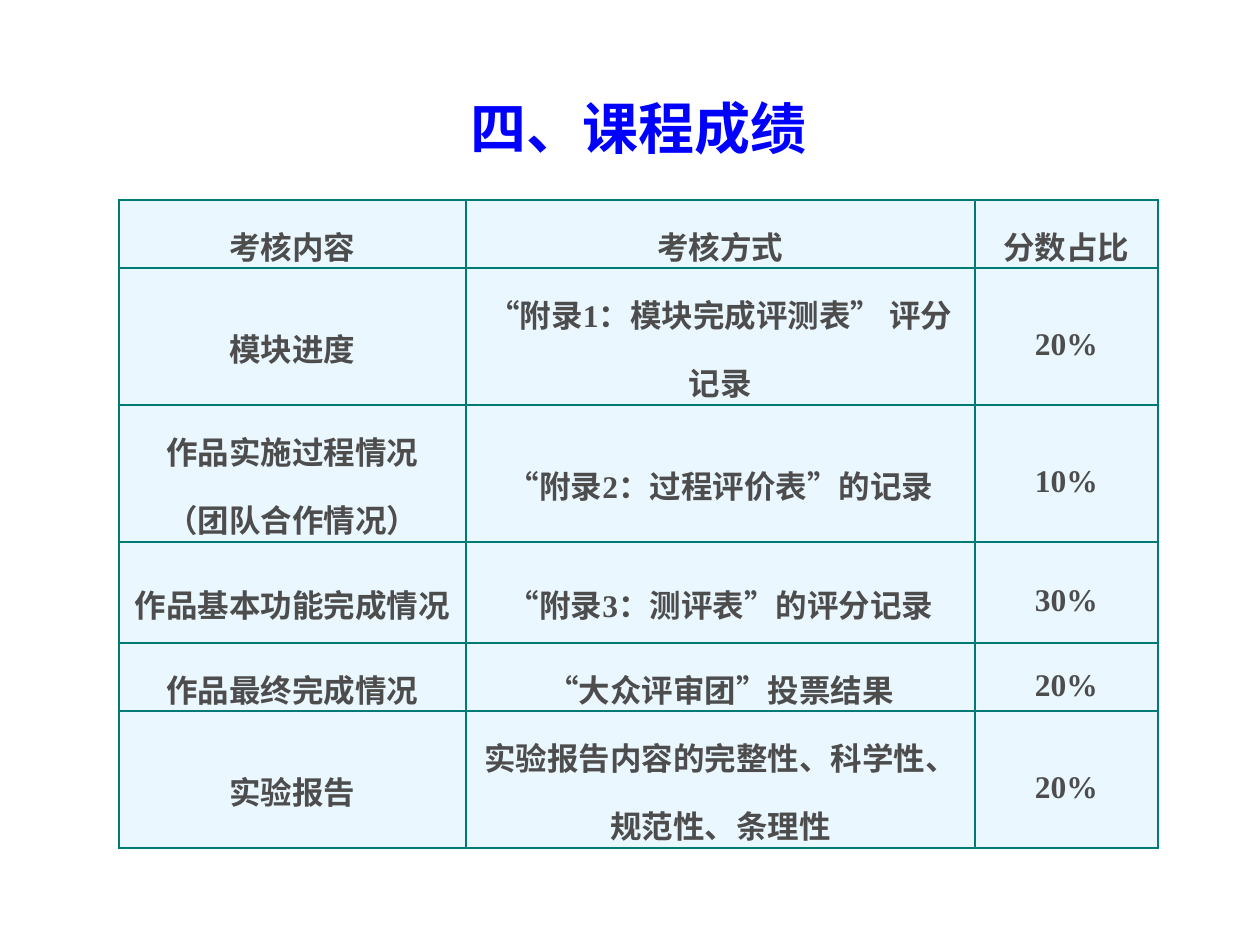
"""Build the course grading slide."""
from lxml.etree import SubElement
from pptx import Presentation
from pptx.dml.color import RGBColor
from pptx.enum.text import MSO_ANCHOR, PP_ALIGN
from pptx.oxml.ns import qn
from pptx.util import Pt

PX = 914400 // 126
CJK = "Noto Sans CJK SC"
TITLE = {"size": Pt(32), "name": CJK, "bold": True}
BODY = {"size": Pt(18), "name": "Times New Roman", "bold": True}
COLS = [347, 509, 183]
ROWS = [
    (68, "考核内容", "考核方式", "分数占比"),
    (137, "模块进度", "“附录1：模块完成评测表” 评分记录", "20%"),
    (137, "作品实施过程情况\n（团队合作情况）", "“附录2：过程评价表”的记录", "10%"),
    (101, "作品基本功能完成情况", "“附录3：测评表”的评分记录", "30%"),
    (68, "作品最终完成情况", "“大众评审团”投票结果", "20%"),
    (137, "实验报告", "实验报告内容的完整性、科学性、规范性、条理性", "20%"),
]


def px(*vals):
    return [round(v * PX) for v in vals]


def color(text):
    return RGBColor.from_string(text)


def write(frame, text, style, tint, gap=None):
    frame.word_wrap = True
    frame.text = text
    for para in frame.paragraphs:
        para.alignment = PP_ALIGN.CENTER
        para.line_spacing = gap
        for run in para.runs:
            for key, val in style.items():
                setattr(run.font, key, val)
            run.font.color.rgb = color(tint)
            props = run._r.get_or_add_rPr()
            props.set("lang", "zh-CN")
            SubElement(props, qn("a:ea")).set("typeface", CJK)


def title(slide, box, text):
    frame = slide.shapes.add_textbox(*px(*box)).text_frame
    frame.vertical_anchor = MSO_ANCHOR.MIDDLE
    write(frame, text, TITLE, "0000FF")


def border(cell, tint):
    props = cell._tc.get_or_add_tcPr()
    for spot, side in enumerate(("lnL", "lnR", "lnT", "lnB")):
        line = props.makeelement(qn("a:" + side), {"w": str(Pt(1))})
        fill = SubElement(line, qn("a:solidFill"))
        SubElement(fill, qn("a:srgbClr")).set("val", tint)
        props.insert(spot, line)


def grid(slide, left, top):
    size = px(left, top, sum(COLS), sum(row[0] for row in ROWS))
    table = slide.shapes.add_table(len(ROWS), len(COLS), *size).table
    for col, width in zip(table.columns, px(*COLS)):
        col.width = width
    for r, (high, *texts) in enumerate(ROWS):
        table.rows[r].height = px(high)[0]
        for c, text in enumerate(texts):
            cell = table.cell(r, c)
            cell.margin_left, cell.margin_right = px(9, 9)
            cell.margin_top = cell.margin_bottom = 0
            cell.vertical_anchor = MSO_ANCHOR.MIDDLE if r else MSO_ANCHOR.TOP
            cell.fill.solid()
            cell.fill.fore_color.rgb = color("EBF7FF")
            write(cell.text_frame, text, BODY, "4D4D4D", 1.5)
            border(cell, "007A77")


def main():
    deck = Presentation()
    deck.slide_width, deck.slide_height = px(1260, 945)
    slide = deck.slides.add_slide(deck.slide_layouts[6])
    title(slide, (240, 74, 797, 107), "四、课程成绩")
    grid(slide, 119, 200)
    deck.save("out.pptx")


main()
